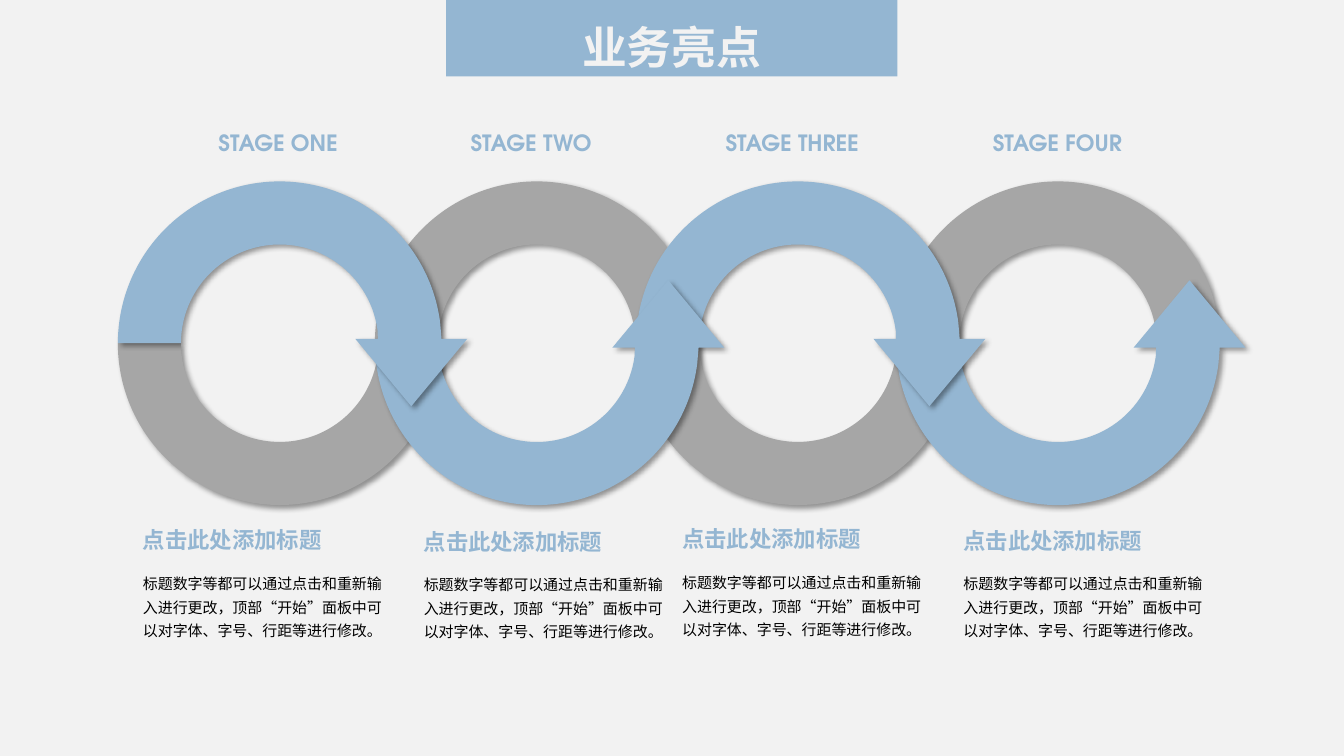
from dataclasses import dataclass
from math import cos, radians, sin, tan

from lxml.etree import SubElement
from pptx import Presentation
from pptx.dml.color import RGBColor
from pptx.enum.shapes import MSO_SHAPE
from pptx.enum.text import MSO_ANCHOR, MSO_AUTO_SIZE, PP_ALIGN
from pptx.oxml.ns import qn
from pptx.util import Pt

BLUE = RGBColor(0x94, 0xB6, 0xD2)
GRAY = RGBColor(0xA6, 0xA6, 0xA6)
PALE = RGBColor(0xF2, 0xF2, 0xF2)
BLACK = RGBColor(0, 0, 0)

LATIN_FONT = "TeX Gyre Adventor"
CHINESE_FONT = "Noto Sans CJK SC"

# Ring geometry
RING_TOP = 129.6
RING_SIZE = 231.2
BAND_RATIO = 0.195

TITLE = "业务亮点"
HEADING = "点击此处添加标题"
BODY = "标题数字等都可以通过点击和重新输入进行更改，顶部“开始”面板中可以对字体、字号、行距等进行修改。"


@dataclass
class Stage:
    label: str
    label_left: float
    label_width: float
    ring_left: float
    text_left: float
    heading_top: float
    body_top: float
    points_down: bool


STAGES = [
    Stage("STAGE ONE", 147.6, 102.2, 84.2, 95, 366.5, 403.2, True),
    Stage("STAGE TWO", 327.6, 103.7, 267.8, 295.6, 367.9, 404.1, False),
    Stage("STAGE THREE", 509.8, 112.3, 454.3, 480.2, 365.8, 402.5, True),
    Stage("STAGE FOUR", 700.6, 109.4, 640.1, 681.1, 367.2, 403.2, False),
]


def write(frame, text, size=16, font=LATIN_FONT, color=BLUE, bold=True,
          align=PP_ALIGN.LEFT, line_spacing=1.3):
    para = frame.paragraphs[0]
    para.alignment = align
    para.line_spacing = line_spacing
    span = para.add_run()
    span.text = text
    span.font.size = Pt(size)
    span.font.name = font
    span.font.bold = bold
    span.font.color.rgb = color
    SubElement(span.font._element, qn("a:ea"), typeface=CHINESE_FONT)


def curves(radius, *degrees):
    """Bezier steps of three points each, along a circle through the angles."""
    steps = []
    for start, end in zip(map(radians, degrees), map(radians, degrees[1:])):
        pull = 4 / 3 * tan((end - start) / 4)
        steps.append([
            (radius * (cos(start) - pull * sin(start)), -radius * (sin(start) + pull * cos(start))),
            (radius * (cos(end) + pull * sin(end)), -radius * (sin(end) - pull * cos(end))),
            (radius * cos(end), -radius * sin(end)),
        ])
    return steps


class RingSlide:
    def __init__(self, deck):
        self.page = deck.slides.add_slide(deck.slide_layouts[6])
        self.shapes = self.page.shapes
        background = self.page.background.fill
        background.solid()
        background.fore_color.rgb = PALE

    def paint(self, shape, color, shadow=True):
        shape.fill.solid()
        shape.fill.fore_color.rgb = color
        shape.line.fill.background()
        shape.shadow.inherit = False
        if shadow:
            effects = shape.element.spPr.find(qn("a:effectLst"))
            outer = SubElement(effects, qn("a:outerShdw"), blurRad=str(Pt(4)),
                               dist=str(Pt(3)), dir=str(45 * 60000),
                               algn="tl", rotWithShape="0")
            black = SubElement(outer, qn("a:srgbClr"), val=str(BLACK))
            SubElement(black, qn("a:alpha"), val="40000")

    def title(self, text):
        banner = self.shapes.add_shape(MSO_SHAPE.RECTANGLE, Pt(318.7), 0, Pt(322.4), Pt(54.5))
        self.paint(banner, BLUE, shadow=False)
        banner.text_frame.vertical_anchor = MSO_ANCHOR.MIDDLE
        write(banner.text_frame, text, size=32, color=PALE, align=PP_ALIGN.CENTER)

    def half_ring(self, left, lower):
        arc = self.shapes.add_shape(MSO_SHAPE.BLOCK_ARC, Pt(left), Pt(RING_TOP),
                                    Pt(RING_SIZE), Pt(RING_SIZE))
        for index, value in enumerate((108, 0, BAND_RATIO)):
            arc.adjustments[index] = value
        if lower:
            arc.element.spPr.find(qn("a:xfrm")).set("flipV", "1")
        self.paint(arc, GRAY)

    def arrow(self, left, points_down):
        outer = RING_SIZE / 2
        inner = outer - RING_SIZE * BAND_RATIO
        neck, tip, axis, half_head, end = 3.2, 45, 94, 40, 7.3

        # Offsets from the ring centre, for the arrow that points down
        head = [(outer, -neck), (axis + half_head, -neck), (axis, tip),
                (axis - half_head, -neck), (inner - 0.4, -neck),
                (inner * cos(radians(end)), -inner * sin(radians(end)))]
        steps = (curves(outer, 90, 60, end) + [[point] for point in head]
                 + curves(inner, end, 60, 120, 180) + [[(-outer, 0)]]
                 + curves(outer, 180, 120, 90))

        side = 1 if points_down else -1
        points = [(Pt(left + outer + x), Pt(RING_TOP + outer + side * y))
                  for x, y in [(0, -outer)] + sum(steps, [])]
        builder = self.shapes.build_freeform(*points[0])
        builder.add_line_segments(points[1:], close=True)
        shape = builder.convert_to_shape()

        # Join each three-point step into one curve
        outline = shape.element.spPr.find(".//" + qn("a:path"))
        lines = iter(outline.findall(qn("a:lnTo")))
        for step in steps:
            members = [next(lines) for _ in step]
            if len(members) == 3:
                curve = SubElement(outline, qn("a:cubicBezTo"))
                members[0].addprevious(curve)
                for member in members:
                    curve.append(member[0])
                    outline.remove(member)
        self.paint(shape, BLUE)

    def text(self, text, left, top, width, height, wrap=False, **style):
        box = self.shapes.add_textbox(Pt(left), Pt(top), Pt(width), Pt(height))
        box.text_frame.word_wrap = wrap
        box.text_frame.auto_size = MSO_AUTO_SIZE.SHAPE_TO_FIT_TEXT
        write(box.text_frame, text, **style)


def main():
    deck = Presentation()
    deck.slide_width, deck.slide_height = Pt(960), Pt(540)
    slide = RingSlide(deck)
    slide.title(TITLE)

    # Gray halves lie beneath the chain of arrows
    for stage in STAGES:
        slide.half_ring(stage.ring_left, lower=stage.points_down)
    for stage in reversed(STAGES):
        slide.arrow(stage.ring_left, stage.points_down)

    # Captions above and below each ring
    for stage in STAGES:
        slide.text(BODY, stage.text_left, stage.body_top, 190, 57.6, wrap=True,
                   size=10.7, font=CHINESE_FONT, color=BLACK, bold=False)
        slide.text(HEADING, stage.text_left, stage.heading_top, 144, 30.2)
        slide.text(stage.label, stage.label_left, 88.6, stage.label_width, 26.6,
                   align=PP_ALIGN.CENTER, line_spacing=1)

    deck.save("out.pptx")


if __name__ == "__main__":
    main()
